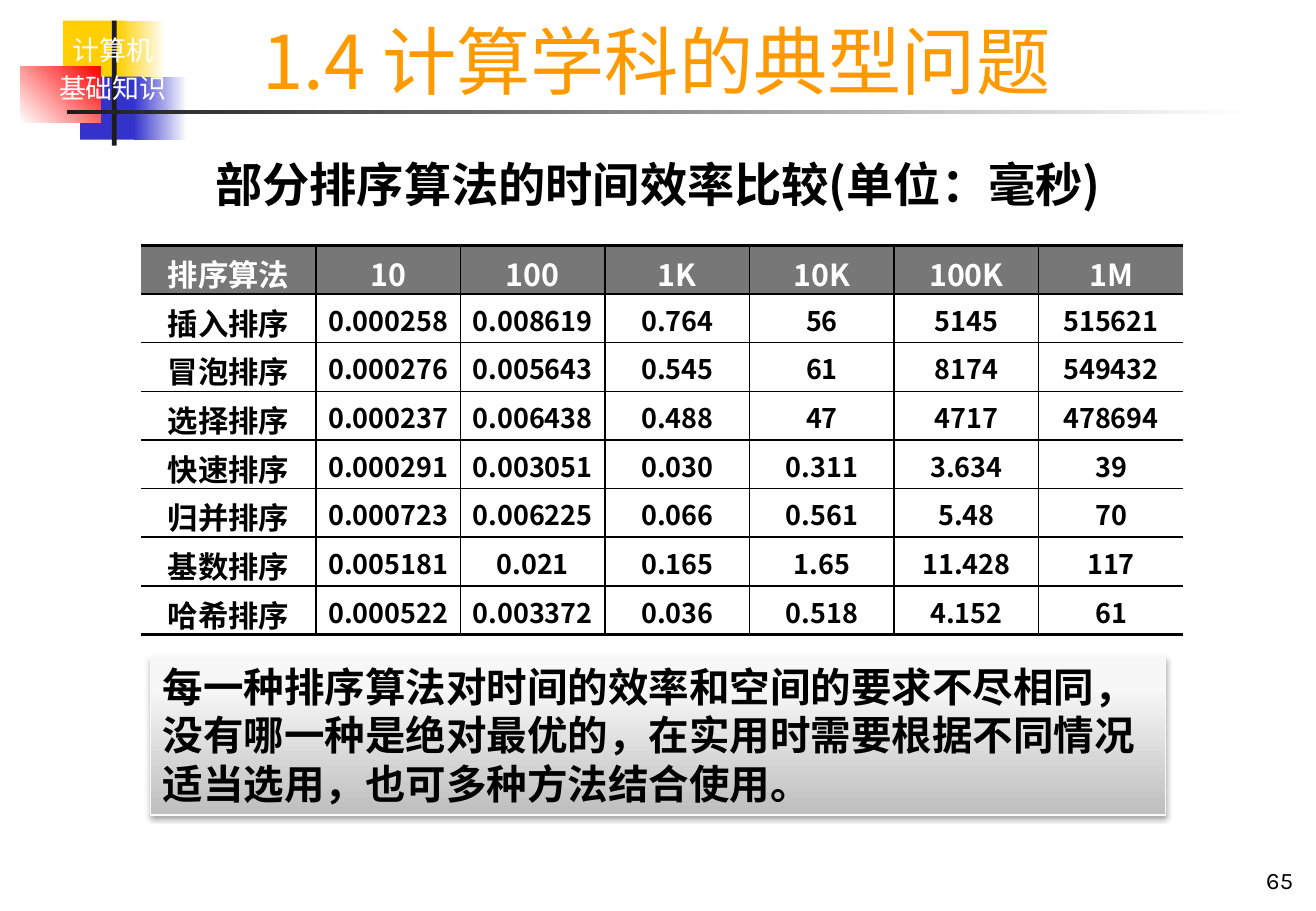
from dataclasses import dataclass

from lxml import etree
from pptx import Presentation
from pptx.dml.color import RGBColor
from pptx.enum.shapes import MSO_SHAPE
from pptx.enum.text import MSO_ANCHOR, PP_ALIGN
from pptx.oxml.ns import qn
from pptx.util import Inches, Pt

RECTANGLE = MSO_SHAPE.RECTANGLE
TOP, BOTTOM = MSO_ANCHOR.TOP, MSO_ANCHOR.BOTTOM
LEFT, CENTER, RIGHT = PP_ALIGN.LEFT, PP_ALIGN.CENTER, PP_ALIGN.RIGHT


@dataclass(frozen=True)
class Theme:
    font: str = "Noto Sans CJK SC"
    label_font: str = "Karla"
    white: str = "FFFFFF"
    black: str = "000000"
    orange: str = "FF9900"
    yellow: str = "FFCF01"
    blue: str = "3333CC"
    red: str = "FF0000"
    ink: str = "1C1C1C"
    header_gray: str = "777777"
    panel_dark: str = "BEBEBE"
    panel_light: str = "F7F7F7"
    panel_edge: str = "F9F9F9"
    title_size: int = 44
    subtitle_size: int = 28
    summary_size: int = 24
    name_size: int = 18
    value_size: int = 16
    label_size: int = 16
    number_size: int = 14
    thin: float = 1
    thick: float = 2.25


class SlideBuilder:
    def __init__(self, slide, theme):
        self.slide = slide
        self.theme = theme

    def fill_text(self, frame, text, size, color, bold=False, align=CENTER,
                  font=None, gap=0):
        """Fill a text frame, one paragraph per line of text."""
        frame.word_wrap = True
        frame.text = text
        for index, paragraph in enumerate(frame.paragraphs):
            paragraph.alignment = align
            if index:
                paragraph.space_before = Pt(gap)
            style = paragraph.font
            style.size, style.bold = Pt(size), bold
            style.color.rgb = RGBColor.from_string(color)
            style.name = font or self.theme.font
            defaults = paragraph._p.pPr.find(qn("a:defRPr"))
            etree.SubElement(defaults, qn("a:ea"), typeface=self.theme.font)

    def text(self, box, text, size, color, anchor=TOP, **style):
        frame = self.slide.shapes.add_textbox(*map(Inches, box)).text_frame
        frame.vertical_anchor = anchor
        self.fill_text(frame, text, size, color, **style)

    def block(self, box, start, end=None, angle=0, end_position=1):
        """Draw a rectangle; an end colour makes it a gradient."""
        shape = self.slide.shapes.add_shape(RECTANGLE, *map(Inches, box))
        shape.shadow.inherit = False
        shape.line.fill.background()
        if end is None:
            shape.fill.solid()
            shape.fill.fore_color.rgb = RGBColor.from_string(start)
            return shape
        shape.fill.gradient()
        shape.fill.gradient_angle = angle
        stops = zip(shape.fill.gradient_stops, (start, end), (0, end_position))
        for stop, color, position in stops:
            stop.color.rgb = RGBColor.from_string(color)
            stop.position = position
        return shape

    def panel(self, box, text):
        """Draw the shaded summary panel with its drop shadow."""
        theme = self.theme
        shape = self.block(box, theme.panel_dark, theme.panel_light,
                           angle=90, end_position=0.8)
        shape.line.color.rgb = RGBColor.from_string(theme.panel_edge)
        shape.line.width = Pt(0.75)
        effects = shape._element.spPr.find(qn("a:effectLst"))
        shadow = etree.SubElement(
            effects, qn("a:outerShdw"), blurRad=str(Pt(3.1)),
            dist=str(Pt(1.8)), dir="5400000", rotWithShape="0")
        color = etree.SubElement(shadow, qn("a:srgbClr"), val=theme.black)
        etree.SubElement(color, qn("a:alpha"), val="35000")
        shape.text_frame.vertical_anchor = TOP
        self.fill_text(shape.text_frame, text, theme.summary_size, theme.black,
                       bold=True, align=LEFT)

    def border(self, cell, side, width):
        """Set one cell edge; a width of zero hides it."""
        properties = cell._tc.get_or_add_tcPr()
        edge = etree.SubElement(properties, qn(f"a:ln{side}"), w=str(Pt(width)))
        if width:
            fill = etree.SubElement(edge, qn("a:solidFill"))
            etree.SubElement(fill, qn("a:srgbClr"), val=self.theme.black)
        else:
            etree.SubElement(edge, qn("a:noFill"))

    def table(self, box, rows, column_widths):
        theme = self.theme
        last_row, last_column = len(rows) - 1, len(column_widths) - 1
        table = self.slide.shapes.add_table(
            len(rows), len(column_widths), *map(Inches, box)).table
        table.first_row = table.horz_banding = False
        for column, width in zip(table.columns, column_widths):
            column.width = Inches(width)
        for r, row in enumerate(rows):
            table.rows[r].height = Inches(box[3] / len(rows))
            for c, text in enumerate(row):
                cell = table.cell(r, c)
                self.border(cell, "L", theme.thin if c else 0)
                self.border(cell, "R", theme.thin if c < last_column else 0)
                self.border(cell, "T", theme.thin if r else theme.thick)
                self.border(cell, "B", theme.thin if r < last_row else theme.thick)
                is_header = r == 0
                cell.fill.solid()
                cell.fill.fore_color.rgb = RGBColor.from_string(
                    theme.header_gray if is_header else theme.white)
                is_name = is_header or c == 0
                self.fill_text(
                    cell.text_frame, text,
                    theme.name_size if is_name else theme.value_size,
                    theme.white if is_header else theme.black, bold=True)


TIMINGS = [
    ["排序算法", "10", "100", "1K", "10K", "100K", "1M"],
    ["插入排序", "0.000258", "0.008619", "0.764", "56", "5145", "515621"],
    ["冒泡排序", "0.000276", "0.005643", "0.545", "61", "8174", "549432"],
    ["选择排序", "0.000237", "0.006438", "0.488", "47", "4717", "478694"],
    ["快速排序", "0.000291", "0.003051", "0.030", "0.311", "3.634", "39"],
    ["归并排序", "0.000723", "0.006225", "0.066", "0.561", "5.48", "70"],
    ["基数排序", "0.005181", "0.021", "0.165", "1.65", "11.428", "117"],
    ["哈希排序", "0.000522", "0.003372", "0.036", "0.518", "4.152", "61"],
]
SUMMARY = ("每一种排序算法对时间的效率和空间的要求不尽相同，没有哪一种是绝对最优的，"
           "在实用时需要根据不同情况适当选用，也可多种方法结合使用。")


def main():
    deck = Presentation()
    deck.slide_width, deck.slide_height = Inches(10.83), Inches(7.5)
    theme = Theme()
    page = SlideBuilder(deck.slides.add_slide(deck.slide_layouts[6]), theme)

    page.block((0.52, 0.17, 0.52, 0.52), theme.yellow)
    page.block((0.97, 0.17, 0.39, 0.52), theme.yellow, theme.white)
    page.block((0.66, 0.63, 0.5, 0.52), theme.blue)
    page.block((1.1, 0.63, 0.44, 0.52), theme.blue, theme.white)
    page.block((0.17, 0.55, 0.66, 0.46), theme.white, theme.red, angle=45)
    page.block((0.92, 0.17, 0.04, 1.03), theme.ink)
    page.block((0.55, 0.91, 9.75, 0.03), theme.ink, theme.white)

    page.text((0.3, 0.23, 1.26, 0.69), "计算机\n基础知识", theme.label_size,
              theme.white, font=theme.label_font, gap=3.2)
    page.text((9.59, 7.08, 1.15, 0.33), "65", theme.number_size, theme.black,
              anchor=BOTTOM, align=RIGHT, font=theme.label_font)
    page.text((0.61, 1.23, 9.61, 0.71), "部分排序算法的时间效率比较(单位：毫秒)",
              theme.subtitle_size, theme.black, bold=True)
    page.text((1.61, 0.08, 7.59, 0.83), "1.4 计算学科的典型问题",
              theme.title_size, theme.orange, anchor=BOTTOM)
    page.panel((1.24, 5.4, 8.35, 1.31), SUMMARY)
    page.table((1.16, 2.02, 8.58, 3.2), TIMINGS, [1.44] + [1.19] * 6)
    deck.save("out.pptx")


if __name__ == "__main__":
    main()
